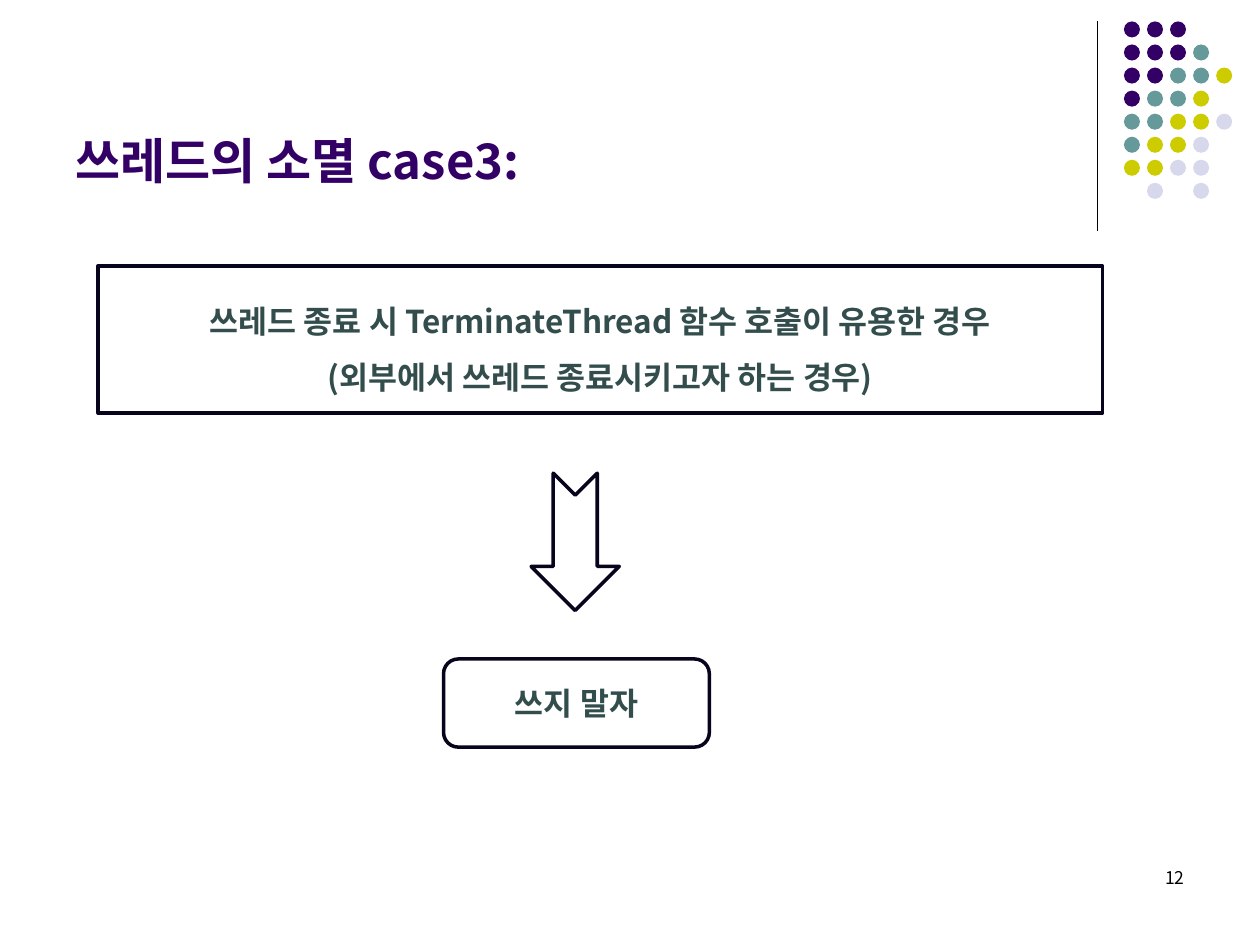
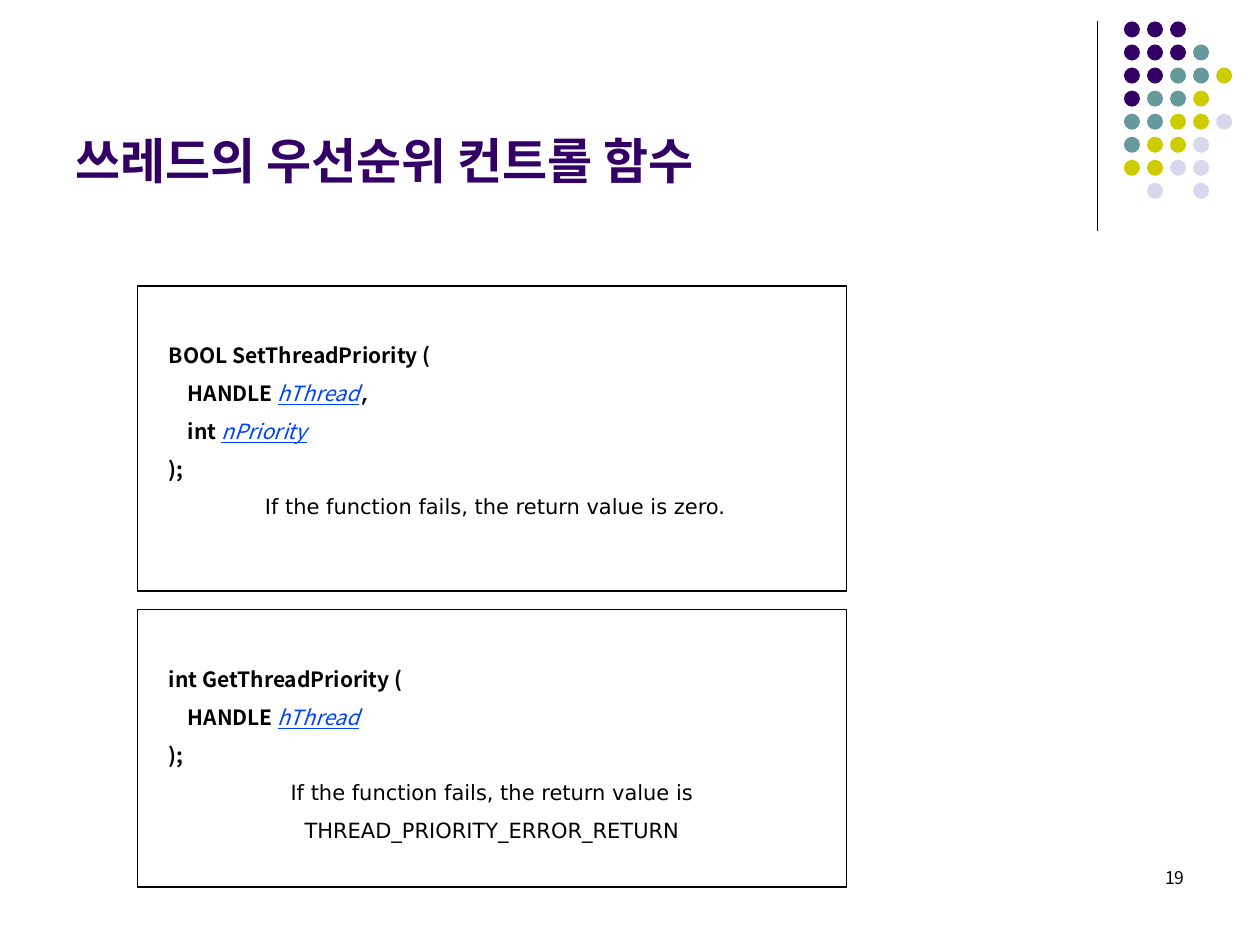
from lxml import etree
from pptx import Presentation
from pptx import util as u
from pptx.dml.color import RGBColor
from pptx.enum import shapes, text
from pptx.oxml.ns import qn

PURPLE = RGBColor(0x33, 0x00, 0x66)
TEAL = RGBColor(0x66, 0x99, 0x99)
OLIVE = RGBColor(0xCC, 0xCC, 0x00)
LAVENDER = RGBColor(0xD8, 0xD8, 0xEC)
SLATE = RGBColor(0x33, 0x4D, 0x4D)
NAVY = RGBColor(0x06, 0x05, 0x1D)
LINK_BLUE = RGBColor(0x00, 0x40, 0xFF)
BLACK = RGBColor(0x00, 0x00, 0x00)
WHITE = RGBColor(0xFF, 0xFF, 0xFF)

SANS = "Noto Sans CJK KR"
PROSE = "DejaVu Sans"
MONO = "Courier New"

WIDTH, HEIGHT = u.Inches(10), u.Inches(7.5)
DOT_COLORS = {"P": PURPLE, "T": TEAL, "O": OLIVE, "L": LAVENDER}
DOT_ROWS = ("PPP", "PPPT", "PPTTO", "PTTO", "TTOOL", "TOOL", "OOLL", " L L")

LEFT, CENTER, RIGHT = text.PP_ALIGN.LEFT, text.PP_ALIGN.CENTER, text.PP_ALIGN.RIGHT
TOP, MIDDLE, BOTTOM = text.MSO_ANCHOR.TOP, text.MSO_ANCHOR.MIDDLE, text.MSO_ANCHOR.BOTTOM


def across(percent):
    """Return a percentage of the slide width."""
    return round(WIDTH * percent / 100)


def down(percent):
    """Return a percentage of the slide height."""
    return round(HEIGHT * percent / 100)


def place(left, top, width, height):
    """Turn percentages of the slide into a position and a size."""
    return across(left), down(top), across(width), down(height)


def add_run(paragraph, words, size, color=BLACK, bold=False, font=SANS, link=False):
    """Append one run; link gives the look of a parameter reference."""
    run = paragraph.add_run()
    run.text = words
    run.font.size = u.Pt(size)
    run.font.name = font
    run.font.bold = bold
    run.font.color.rgb = LINK_BLUE if link else color
    if link:
        run.font.italic = run.font.underline = True
    latin = run.font._element.find(qn("a:latin"))
    east_asian = etree.Element(qn("a:ea"), typeface=font)
    latin.addnext(east_asian)


def prepare_frame(shape, anchor, top_inset=0.05):
    """Set wrapping, anchor and upper margin, and return the text frame."""
    frame = shape.text_frame
    frame.word_wrap = True
    frame.vertical_anchor = anchor
    frame.margin_top = u.Inches(top_inset)
    return frame


def next_paragraph(frame, index, align, spacing=1.0):
    """Return the paragraph at an index, adding it when it is not the first."""
    paragraph = frame.add_paragraph() if index else frame.paragraphs[0]
    paragraph.alignment = align
    paragraph.line_spacing = spacing
    return paragraph


def add_label(slide, area, words, align, anchor, **style):
    """Add a one-line text box."""
    frame = prepare_frame(slide.shapes.add_textbox(*place(*area)), anchor)
    add_run(next_paragraph(frame, 0, align), words, **style)


def add_outline(slide, kind, area, color=NAVY, weight=2.0, fill=None):
    """Add a preset shape with an outline and an optional fill."""
    shape = slide.shapes.add_shape(kind, *place(*area))
    shape.shadow.inherit = False
    shape.line.color.rgb = color
    shape.line.width = u.Pt(weight)
    if fill is None:
        shape.fill.background()
    else:
        shape.fill.solid()
        shape.fill.fore_color.rgb = fill
    return shape


def add_statement(slide, kind, area, lines, spacing=1.0):
    """Add an outlined shape with bold centred lines."""
    frame = prepare_frame(add_outline(slide, kind, area), MIDDLE)
    for index, line in enumerate(lines):
        paragraph = next_paragraph(frame, index, CENTER, spacing)
        add_run(paragraph, line, 18, SLATE, bold=True)


def add_signature(slide, area, code_lines, result):
    """Add a box with a function signature and a centred note on its result."""
    box = add_outline(slide, shapes.MSO_SHAPE.RECTANGLE, area, BLACK, 0.75, WHITE)
    frame = prepare_frame(box, TOP, 0.35)
    for index, (code, parameter, ending) in enumerate(code_lines):
        paragraph = next_paragraph(frame, index, LEFT, 1.5)
        add_run(paragraph, code, 12, bold=True)
        if parameter:
            add_run(paragraph, parameter, 12, link=True)
        if ending:
            add_run(paragraph, ending, 12, bold=True, font=MONO)
    paragraph = next_paragraph(frame, len(code_lines), CENTER, 1.5)
    add_run(paragraph, result, 12, font=PROSE)


def add_dots(slide):
    """Draw the corner grid of coloured dots."""
    for row, pattern in enumerate(DOT_ROWS):
        for column, key in enumerate(pattern):
            if key in DOT_COLORS:
                area = place(89.2 + 1.83 * column, 2.27 + 2.44 * row, 1.27, 1.7)
                dot = slide.shapes.add_shape(shapes.MSO_SHAPE.OVAL, *area)
                dot.shadow.inherit = False
                dot.fill.solid()
                dot.fill.fore_color.rgb = DOT_COLORS[key]
                dot.line.fill.background()


def add_rule(slide):
    """Draw the vertical line beside the dots."""
    x = across(87.1)
    rule = slide.shapes.add_connector(
        shapes.MSO_CONNECTOR.STRAIGHT, x, down(2.27), x, down(24.4))
    rule.line.color.rgb = BLACK
    rule.line.width = u.Pt(0.75)
    etree.SubElement(rule._element.spPr, qn("a:effectLst"))


def add_page(presentation, title, number):
    """Add a slide with the shared decoration, title and page number."""
    slide = presentation.slides.add_slide(presentation.slide_layouts[6])
    add_rule(slide)
    add_dots(slide)
    add_label(slide, (5, 1.73, 82.5, 18.93), title, LEFT, BOTTOM,
              size=28, color=PURPLE, bold=True)
    add_label(slide, (71.7, 91.07, 23.3, 6.67), str(number), RIGHT, TOP, size=10)
    return slide


def build_termination(presentation):
    """Build the slide on ending a thread from outside."""
    slide = add_page(presentation, "쓰레드의 소멸 case3:", 12)
    add_statement(slide, shapes.MSO_SHAPE.RECTANGLE, (7.8, 28.13, 79.7, 15.6),
                  ["쓰레드 종료 시 TerminateThread 함수 호출이 유용한 경우",
                   "(외부에서 쓰레드 종료시키고자 하는 경우)"], 1.5)
    arrow = add_outline(slide, shapes.MSO_SHAPE.NOTCHED_RIGHT_ARROW,
                        (40.2, 52.67, 10.9, 9.33))
    arrow.rotation = 90
    add_statement(slide, shapes.MSO_SHAPE.ROUNDED_RECTANGLE,
                  (35.2, 69.73, 21.1, 9.33), ["쓰지 말자"])


def build_priority(presentation):
    """Build the slide on the thread priority functions."""
    slide = add_page(presentation, "쓰레드의 우선순위 컨트롤 함수", 19)
    add_signature(slide, (10.9, 30.27, 56.3, 32.27),
                  [("    BOOL SetThreadPriority (", "", ""),
                   ("        HANDLE ", "hThread", ","),
                   ("        int ", "nPriority", ""),
                   ("    );", "", "")],
                  " If the function fails, the return value is zero.")
    add_signature(slide, (10.9, 64.53, 56.3, 29.33),
                  [("    int GetThreadPriority (", "", ""),
                   ("        HANDLE ", "hThread", ""),
                   ("    );", "", "")],
                  "If the function fails, the return value is THREAD_PRIORITY_ERROR_RETURN")


def main():
    """Build and save the presentation."""
    presentation = Presentation()
    presentation.slide_width, presentation.slide_height = WIDTH, HEIGHT
    build_termination(presentation)
    build_priority(presentation)
    presentation.save("out.pptx")


if __name__ == "__main__":
    main()
